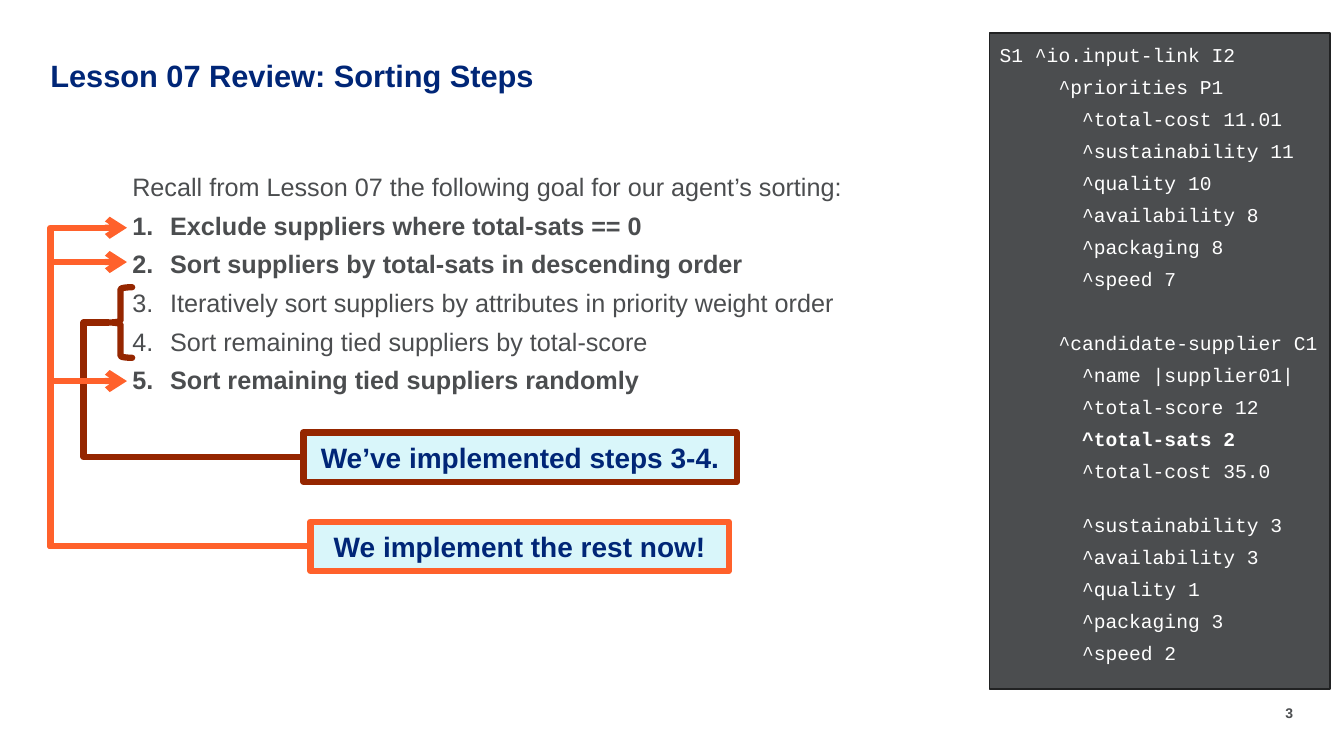
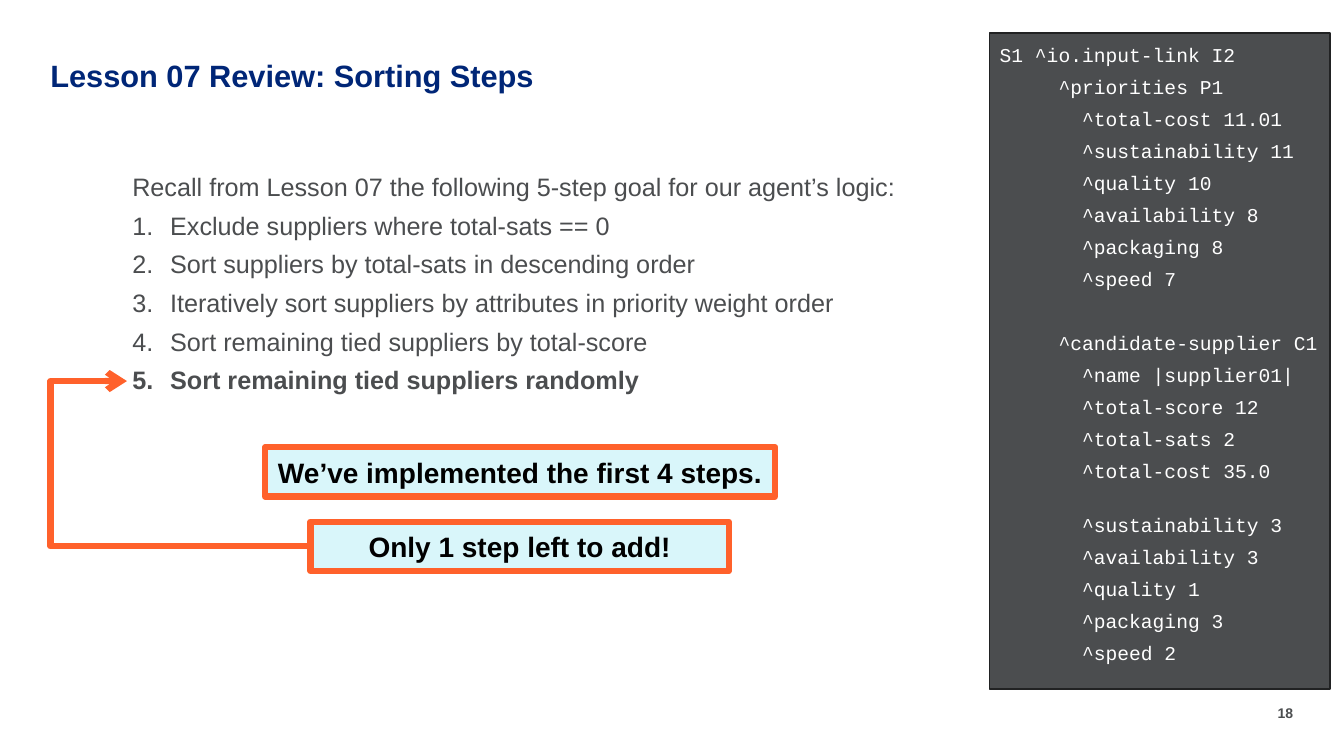
from dataclasses import dataclass

from lxml import etree
from pptx import Presentation
from pptx.dml.color import RGBColor
from pptx.enum import shapes, text
from pptx.oxml.ns import qn
from pptx.util import Pt


@dataclass(frozen=True)
class Theme:
    # colours
    navy: str = "002677"
    grey: str = "4B4D4F"
    edge: str = "212223"
    white: str = "FFFFFF"
    black: str = "000000"
    pale: str = "D9F6FA"
    orange: str = "FF612B"
    brown: str = "952600"
    # fonts, sizes and spacing
    font: str = "Arial"
    mono: str = "Courier New"
    title: float = 22
    callout: float = 20
    body: float = 18
    code: float = 14
    number: float = 10
    gap: float = 6
    stroke: float = 4.5


T = Theme()

# Boxes as left, top, width, height in points
TITLE = (36, 43.5, 635, 24)
STEPS = (94.5, 122.4, 608.4, 309.6)
CODE = (707, 23.5, 243, 468.7)
NUMBER = (863.7, 503, 60, 12.5)
BRACE = (77.8, 205.2, 16.6, 50.4)
DONE = (216.7, 308.9, 309.6, 35.3)
FIRST_FOUR = (189.4, 319.4, 364.3, 35.3)
REST = (221.8, 372.6, 298.8, 35.3)

STEP_ARROWS = {1: 40.3, 2: 64.8, 5: 149.8}  # offsets from the top of the list
STEP_TEXTS = [
    "Exclude suppliers where total-sats == 0",
    "Sort suppliers by total-sats in descending order",
    "Iteratively sort suppliers by attributes in priority weight order",
    "Sort remaining tied suppliers by total-score",
    "Sort remaining tied suppliers randomly",
]
# Blocks of code lines, each with the extra space above it
CODE_BLOCKS = [
    (0, """S1 ^io.input-link I2
     ^priorities P1
       ^total-cost 11.01
       ^sustainability 11
       ^quality 10
       ^availability 8
       ^packaging 8
       ^speed 7"""),
    (22.9, """     ^candidate-supplier C1
       ^name |supplier01|
       ^total-score 12
       ^total-sats 2
       ^total-cost 35.0"""),
    (16.4, """       ^sustainability 3
       ^availability 3
       ^quality 1
       ^packaging 3
       ^speed 2"""),
]


def rgb(color):
    return RGBColor.from_string(color)


def points(box):
    return [Pt(v) for v in box]


def write(tf, content, *, size, color, font=T.font, bold=False, align=None,
          before=0, spacing=None, numbered=False):
    """Add one formatted paragraph, filling the empty first one if there is one."""
    first = not tf.paragraphs[0].runs
    p = tf.paragraphs[0] if first else tf.add_paragraph()
    if numbered:
        pPr = p._p.get_or_add_pPr()
        pPr.set("marL", str(Pt(27)))
        pPr.set("indent", str(-Pt(27)))
        etree.SubElement(pPr, qn("a:buFont"), typeface="+mj-lt")
        etree.SubElement(pPr, qn("a:buAutoNum"), type="arabicPeriod")
    if align is not None:
        p.alignment = align
    if spacing:
        p.line_spacing = spacing
    if not first:
        p.space_before = Pt(before)
    r = p.add_run()
    r.text = content
    r.font.name, r.font.size, r.font.bold = font, Pt(size), bold
    r.font.color.rgb = rgb(color)


def text_box(slide, box, wrap=True):
    tf = slide.shapes.add_textbox(*points(box)).text_frame
    tf.word_wrap = wrap
    tf.margin_left = tf.margin_right = tf.margin_top = tf.margin_bottom = 0
    return tf


def add_shape(slide, kind, box, line, width, fill=None):
    sp = slide.shapes.add_shape(kind, *points(box))
    sp.shadow.inherit = False
    sp.line.color.rgb = rgb(line)
    sp.line.width = Pt(width)
    if fill:
        sp.fill.solid()
        sp.fill.fore_color.rgb = rgb(fill)
    else:
        sp.fill.background()
    return sp


def add_frame(slide, number):
    """Title and page number."""
    write(text_box(slide, TITLE), "Lesson 07 Review: Sorting Steps",
          size=T.title, color=T.navy, bold=True, spacing=0.9)
    write(text_box(slide, NUMBER), str(number), size=T.number, color=T.grey,
          bold=True, align=text.PP_ALIGN.RIGHT)


def add_steps(slide, box, intro, bold_steps):
    tf = text_box(slide, box)
    write(tf, intro, size=T.body, color=T.grey)
    for i, step in enumerate(STEP_TEXTS, 1):
        write(tf, step, size=T.body, color=T.grey, bold=i in bold_steps,
              before=T.gap, numbered=True)


def add_code(slide, box, bold_line=None):
    sp = add_shape(slide, shapes.MSO_SHAPE.RECTANGLE, box, T.edge, 1, T.grey)
    tf = sp.text_frame
    tf.word_wrap = True
    tf.vertical_anchor = text.MSO_ANCHOR.TOP
    tf.margin_left = tf.margin_top = tf.margin_bottom = Pt(7.2)
    tf.margin_right = 0
    for extra, block in CODE_BLOCKS:
        for i, line in enumerate(block.split("\n")):
            write(tf, line, size=T.code, color=T.white, font=T.mono,
                  bold=line.strip() == bold_line, align=text.PP_ALIGN.LEFT,
                  before=T.gap + (0 if i else extra))


def add_callout(slide, box, content, line, color):
    sp = add_shape(slide, shapes.MSO_SHAPE.RECTANGLE, box, line, T.stroke, T.pale)
    tf = sp.text_frame
    tf.word_wrap = True
    tf.vertical_anchor = text.MSO_ANCHOR.MIDDLE
    write(tf, content, size=T.callout, color=color, bold=True,
          align=text.PP_ALIGN.CENTER)
    return sp


def add_elbow(slide, source, end, bend_x, color, arrow=False):
    """Run from the left side of source out to bend_x, then back to end."""
    x, y = source.left.pt, source.top.pt + source.height.pt / 2
    c = slide.shapes.add_connector(shapes.MSO_CONNECTOR.ELBOW,
                                   *points((x, y, *end)))
    c.begin_connect(source, 1)
    c.line.color.rgb = rgb(color)
    c.line.width = Pt(T.stroke)
    if arrow:
        etree.SubElement(c.line._get_or_add_ln(), qn("a:tailEnd"), type="arrow")
    spPr = c._element.spPr
    etree.SubElement(spPr, qn("a:effectLst"))
    guides = spPr.find(qn("a:prstGeom")).get_or_add_avLst()
    bend = round((x - bend_x) / (x - end[0]) * 100000)
    etree.SubElement(guides, qn("a:gd"), name="adj1", fmla=f"val {bend}")
    return c


def add_step_arrows(slide, source, box, steps):
    """Arrows from a callout to numbered steps of the list in box."""
    left, top = box[:2]
    for step in steps:
        add_elbow(slide, source, (left - 3.8, top + STEP_ARROWS[step]),
                  left - 58.5, T.orange, arrow=True)


def add_brace(slide, box, source):
    """Brace around steps, tied to a callout."""
    sp = add_shape(slide, shapes.MSO_SHAPE.LEFT_BRACE, box, T.brown, T.stroke)
    sp.line._get_or_add_ln().set("cap", "rnd")
    left, top, _, height = box
    c = add_elbow(slide, source, (left, top + height / 2), left - 18, T.brown)
    c.end_connect(sp, 1)


def build_review(slide):
    add_frame(slide, 3)
    add_steps(slide, STEPS, "Recall from Lesson 07 the following goal for our "
              "agent’s sorting:", {1, 2, 5})
    add_code(slide, CODE, "^total-sats 2")
    done = add_callout(slide, DONE, "We’ve implemented steps 3-4.", T.brown, T.navy)
    add_brace(slide, BRACE, done)
    rest = add_callout(slide, REST, "We implement the rest now!", T.orange, T.navy)
    add_step_arrows(slide, rest, STEPS, (5, 2, 1))


def build_last_step(slide):
    add_frame(slide, 18)
    add_steps(slide, STEPS, "Recall from Lesson 07 the following 5-step goal for "
              "our agent’s logic:", {5})
    add_code(slide, CODE)
    last = add_callout(slide, REST, "Only 1 step left to add!", T.orange, T.black)
    add_step_arrows(slide, last, STEPS, (5,))
    add_callout(slide, FIRST_FOUR, "We’ve implemented the first 4 steps.",
                T.orange, T.black)


def main():
    prs = Presentation()
    prs.slide_width, prs.slide_height = Pt(960), Pt(540)
    for build in (build_review, build_last_step):
        build(prs.slides.add_slide(prs.slide_layouts[6]))
    prs.save("out.pptx")


if __name__ == "__main__":
    main()
